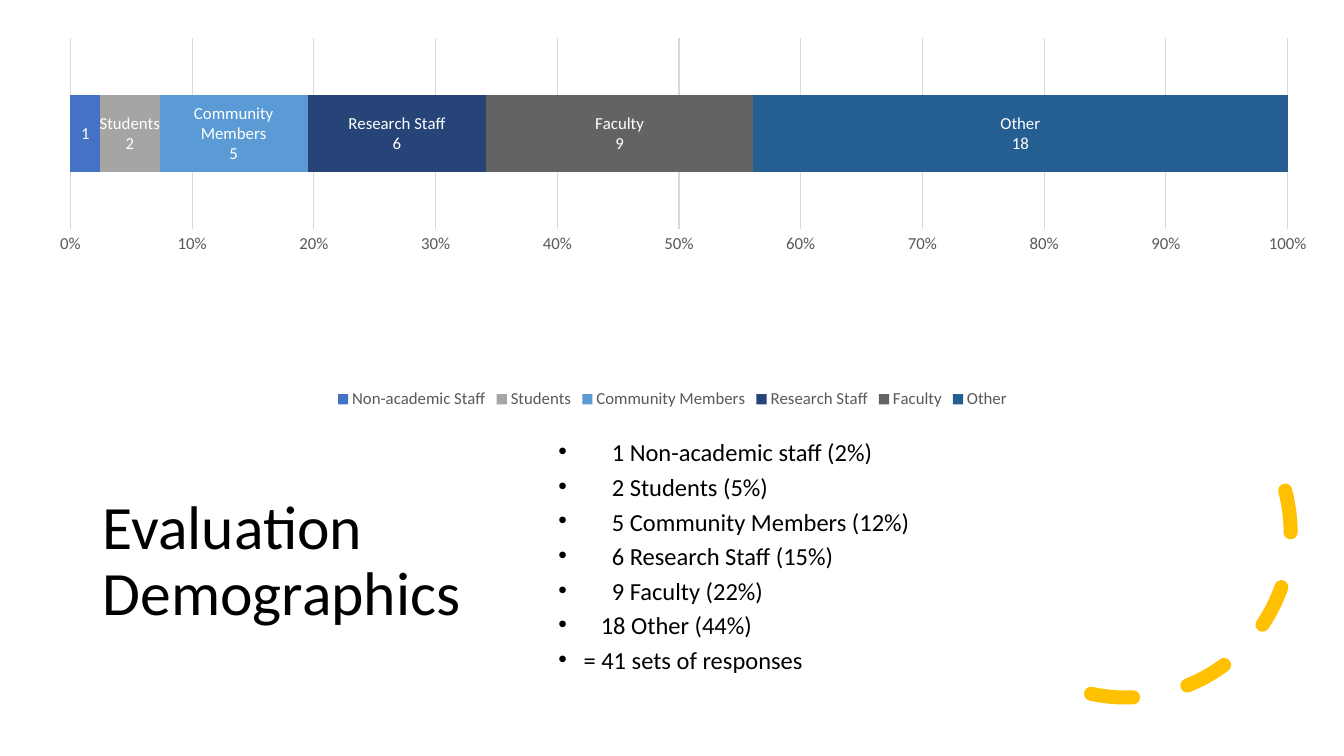
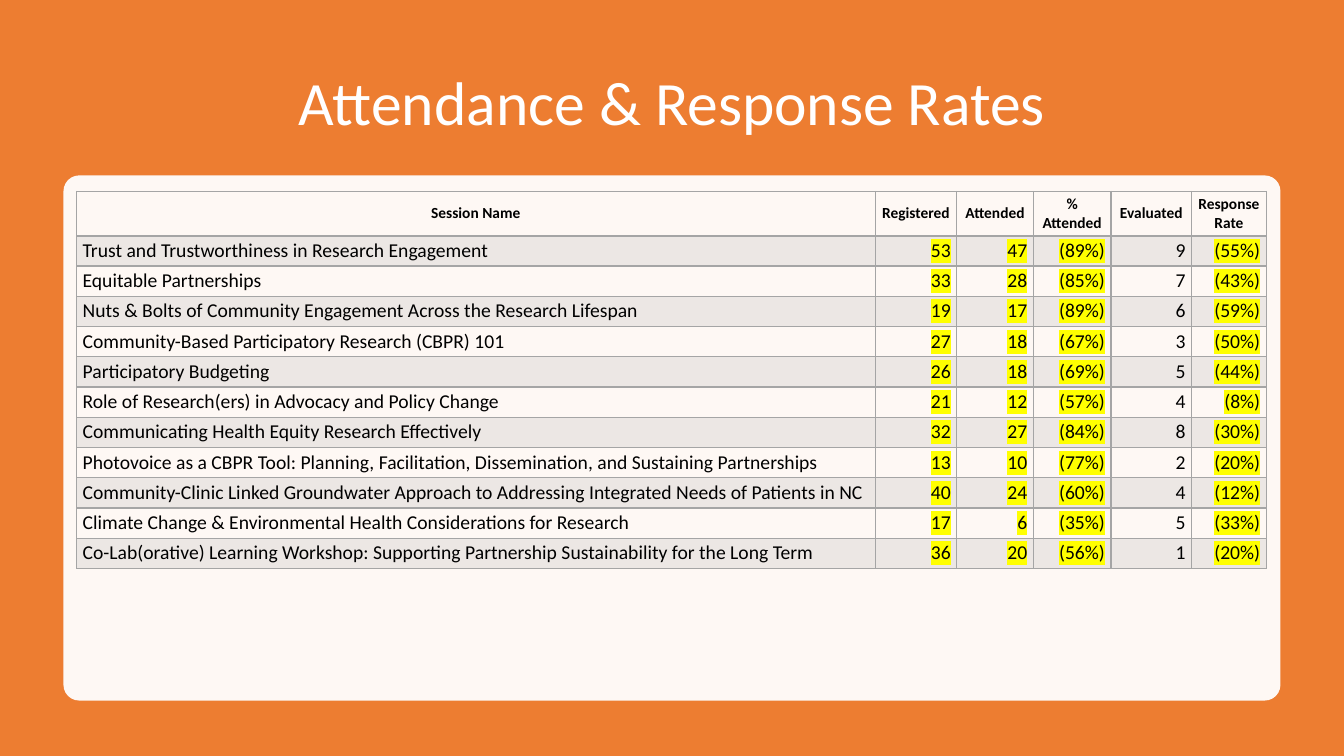
from lxml import etree
from pptx import Presentation
from pptx.chart.data import CategoryChartData
from pptx.dml.color import RGBColor
from pptx.enum.chart import XL_CHART_TYPE as ChartType, XL_LEGEND_POSITION as LegendPos
from pptx.enum.chart import XL_TICK_MARK as TickMark
from pptx.enum.dml import MSO_LINE_DASH_STYLE as Dash
from pptx.enum.shapes import MSO_SHAPE as Shape
from pptx.enum.text import MSO_ANCHOR as Anchor, PP_ALIGN as Align
from pptx.oxml import parse_xml
from pptx.oxml.ns import nsdecls, qn
from pptx.util import Inches, Pt

FONT = "Calibri"
BLACK, WHITE, ORANGE, GOLD = "000000", "FFFFFF", "ED7D31", "FFC000"
GREY, AXIS_TEXT, GRID, YELLOW = "A5A5A5", "595959", "D9D9D9", "FFFF00"

# Group, responses, colour, whether the label names the group
GROUPS = [
    ("Non-academic Staff", 1, "4472C4", False),
    ("Students", 2, GREY, True),
    ("Community Members", 5, "5B9BD5", True),
    ("Research Staff", 6, "264478", True),
    ("Faculty", 9, "636363", True),
    ("Other", 18, "255E91", True),
]
# Text and its indent from the bullet
RESPONSES = [
    ("1 Non-academic staff (2%)", 0.53),
    ("2 Students (5%)", 0.53),
    ("5 Community Members (12%)", 0.53),
    ("6 Research Staff (15%)", 0.53),
    ("9 Faculty (22%)", 0.53),
    ("18 Other (44%)", 0.42),
    ("= 41 sets of responses", 0.25),
]
HEADERS = ["Session Name", "Registered", "Attended", "% Attended", "Evaluated",
           "Response Rate"]
COL_WIDTHS = [7.92, 0.81, 0.76, 0.77, 0.8, 0.74]
HIGHLIGHTED_COLS = {1, 2, 3, 5}
SESSIONS = [
    ("Trust and Trustworthiness in Research Engagement", 53, 47, "(89%)", 9, "(55%)"),
    ("Equitable Partnerships", 33, 28, "(85%)", 7, "(43%)"),
    ("Nuts & Bolts of Community Engagement Across the Research Lifespan",
     19, 17, "(89%)", 6, "(59%)"),
    ("Community-Based Participatory Research (CBPR) 101", 27, 18, "(67%)", 3, "(50%)"),
    ("Participatory Budgeting", 26, 18, "(69%)", 5, "(44%)"),
    ("Role of Research(ers) in Advocacy and Policy Change", 21, 12, "(57%)", 4, "(8%)"),
    ("Communicating Health Equity Research Effectively", 32, 27, "(84%)", 8, "(30%)"),
    ("Photovoice as a CBPR Tool: Planning, Facilitation, Dissemination, and "
     "Sustaining Partnerships", 13, 10, "(77%)", 2, "(20%)"),
    ("Community-Clinic Linked Groundwater Approach to Addressing Integrated Needs "
     "of Patients in NC", 40, 24, "(60%)", 4, "(12%)"),
    ("Climate Change & Environmental Health Considerations for Research",
     17, 6, "(35%)", 5, "(33%)"),
    ("Co-Lab(orative) Learning Workshop: Supporting Partnership Sustainability for "
     "the Long Term", 36, 20, "(56%)", 1, "(20%)"),
]


def rgb(color):
    return RGBColor.from_string(color)


def box(*lengths):
    return [Inches(v) for v in lengths]


def set_attrs(obj, values):
    for name, value in values.items():
        setattr(obj, name, value)


def style_font(font, size, color, bold=False):
    set_attrs(font, {"name": FONT, "size": Pt(size), "bold": bold})
    font.color.rgb = rgb(color)


def set_fill(fill, color):
    fill.solid()
    fill.fore_color.rgb = rgb(color)


def set_opacity(props, percent):
    """Make the solid fill directly under props partly transparent."""
    clr = props.find(f"{qn('a:solidFill')}/{qn('a:srgbClr')}")
    etree.SubElement(clr, qn("a:alpha"), val=str(percent * 1000))


def add_text_frame(slide, at, anchor=Anchor.TOP):
    tf = slide.shapes.add_textbox(*box(*at)).text_frame
    set_attrs(tf, {"word_wrap": True, "vertical_anchor": anchor})
    return tf


def write(p, text, size, color, bold=False):
    r = p.add_run()
    r.text = text
    style_font(r.font, size, color, bold)
    return r


def add_title(slide, text, at, color=BLACK, align=Align.LEFT):
    p = add_text_frame(slide, at, Anchor.MIDDLE).paragraphs[0]
    set_attrs(p, {"alignment": align, "line_spacing": 0.9})
    write(p, text, 44, color)


def add_bullets(slide, items, at):
    tf = add_text_frame(slide, at)
    for i, (text, indent) in enumerate(items):
        p = tf.add_paragraph() if i else tf.paragraphs[0]
        set_attrs(p, {"line_spacing": 0.7, "space_before": Pt(10)})
        write(p, text, 17.5, BLACK)
        pPr = p._p.get_or_add_pPr()
        pPr.set("marL", str(Inches(indent)))
        pPr.set("indent", str(-Inches(indent)))
        etree.SubElement(pPr, qn("a:buFont"), typeface="Arial")
        etree.SubElement(pPr, qn("a:buChar"), char="•")


def add_block(slide, kind, at, color):
    sp = slide.shapes.add_shape(kind, *box(*at))
    sp.shadow.inherit = False
    set_fill(sp.fill, color)
    sp.line.fill.background()
    return sp


def add_dashed_arc(slide, at):
    sp = slide.shapes.add_shape(Shape.ARC, *box(*at))
    sp.shadow.inherit = False
    sp.rotation = 104.5
    sp.adjustments[0] = 144.42
    sp.fill.background()
    sp.line.color.rgb = rgb(GOLD)
    set_attrs(sp.line, {"width": Pt(10), "dash_style": Dash.DASH})
    sp.element.spPr.find(qn("a:ln")).set("cap", "rnd")


def set_plot_area(chart, **fractions):
    """Fix the inner plot area as fractions of the chart frame."""
    plot_area = chart.element.find(f".//{qn('c:plotArea')}")
    for old in plot_area.findall(qn("c:layout")):
        plot_area.remove(old)
    parts = "".join(f'<c:{k} val="{v}"/>' for k, v in fractions.items())
    plot_area.insert(0, parse_xml(
        f'<c:layout {nsdecls("c")}><c:manualLayout><c:layoutTarget val="inner"/>'
        f'<c:xMode val="edge"/><c:yMode val="edge"/>{parts}</c:manualLayout></c:layout>'))


def label_series(series, with_name):
    labels = series.data_labels
    set_attrs(labels, {"show_value": True, "show_series_name": with_name})
    style_font(labels.font, 12, WHITE)
    separator = etree.Element(qn("c:separator"))
    separator.text = "\n"
    labels._element.find(qn("c:showBubbleSize")).addnext(separator)


def add_group_chart(slide, at):
    data = CategoryChartData()
    data.categories = ["1"]
    for name, count, *_ in GROUPS:
        data.add_series(name, [count])
    chart = slide.shapes.add_chart(ChartType.BAR_STACKED_100, *box(*at), data).chart
    style_font(chart.font, 10, BLACK)
    set_attrs(chart, {"has_title": False, "has_legend": True})
    set_attrs(chart.legend, {"position": LegendPos.BOTTOM, "include_in_layout": False})
    style_font(chart.legend.font, 12, AXIS_TEXT)

    chart.category_axis.visible = False
    axis = chart.value_axis
    set_attrs(axis, {"has_major_gridlines": True, "major_tick_mark": TickMark.NONE})
    axis.format.line.fill.background()
    grid = axis.major_gridlines.format.line
    grid.color.rgb = rgb(GRID)
    grid.width = Pt(0.75)
    set_attrs(axis.tick_labels, {"number_format": "0%", "number_format_is_linked": False})
    style_font(axis.tick_labels.font, 12, AXIS_TEXT)

    plot = chart.plots[0]
    set_attrs(plot, {"gap_width": 150, "overlap": 100, "vary_by_categories": False})
    for series, (_, _, color, with_name) in zip(plot.series, GROUPS):
        set_fill(series.format.fill, color)
        label_series(series, with_name)
    set_plot_area(chart, x=0.04, y=0.04, w=0.93, h=0.49)


def set_borders(cell, bottom):
    tcPr = cell._tc.get_or_add_tcPr()
    widths = {"lnL": 1, "lnR": 1, "lnT": 1, "lnB": bottom}
    for i, (side, width) in enumerate(widths.items()):
        tcPr.insert(i, parse_xml(
            f'<a:{side} {nsdecls("a")} w="{Pt(width)}"><a:solidFill>'
            f'<a:srgbClr val="{GREY}"/></a:solidFill></a:{side}>'))


def highlight(r):
    mark = etree.Element(qn("a:highlight"))
    etree.SubElement(mark, qn("a:srgbClr"), val=YELLOW)
    r.font._element.find(qn("a:solidFill")).addnext(mark)


def fill_cell(cell, text, row, col):
    header = row == 0
    set_attrs(cell, {
        "margin_left": Inches(0.06), "margin_right": Inches(0.06),
        "margin_top": Inches(0.03), "margin_bottom": Inches(0.03),
        "vertical_anchor": Anchor.MIDDLE if header else Anchor.TOP})
    p = cell.text_frame.paragraphs[0]
    p.alignment = Align.CENTER if header else Align.RIGHT if col else Align.LEFT
    r = write(p, str(text), 11 if header else 14, BLACK, header)
    if not header and col in HIGHLIGHTED_COLS:
        highlight(r)
    if row % 2:
        set_fill(cell.fill, GREY)
        set_opacity(cell._tc.tcPr, 20)
    else:
        cell.fill.background()
    set_borders(cell, bottom=2 if header else 1)


def add_session_table(slide, left, top):
    rows = [HEADERS, *SESSIONS]
    heights = [0.44] + [0.3] * len(SESSIONS)
    frame = slide.shapes.add_table(len(rows), len(HEADERS),
                                   *box(left, top, sum(COL_WIDTHS), sum(heights)))
    table = frame.table
    set_attrs(table, {"first_row": False, "horz_banding": False})
    for column, width in zip(table.columns, COL_WIDTHS):
        column.width = Inches(width)
    for i, (values, height) in enumerate(zip(rows, heights)):
        table.rows[i].height = Inches(height)
        for j, value in enumerate(values):
            fill_cell(table.cell(i, j), value, i, j)


def build_demographics(slide):
    add_title(slide, "Evaluation Demographics", (0.92, 4.37, 4.35, 2.42))
    add_dashed_arc(slide, (9.53, 3.65, 3.27, 3.27))
    add_bullets(slide, RESPONSES, (5.44, 4.37, 6.98, 2.42))
    add_group_chart(slide, (0.18, 0.22, 12.98, 3.88))


def build_attendance(slide):
    add_block(slide, Shape.RECTANGLE, (0, 0, 13.33, 7.5), ORANGE)
    add_title(slide, "Attendance & Response Rates", (0.92, 0.5, 11.5, 1.1),
              WHITE, Align.CENTER)
    panel = add_block(slide, Shape.ROUNDED_RECTANGLE, (0.63, 1.74, 12.07, 5.21), WHITE)
    panel.adjustments[0] = 0.03
    set_opacity(panel.element.spPr, 95)
    add_session_table(slide, 0.76, 1.9)


def main():
    prs = Presentation()
    set_attrs(prs, {"slide_width": Inches(13.33), "slide_height": Inches(7.5)})
    for build in (build_demographics, build_attendance):
        build(prs.slides.add_slide(prs.slide_layouts[6]))
    prs.save("out.pptx")


if __name__ == "__main__":
    main()
